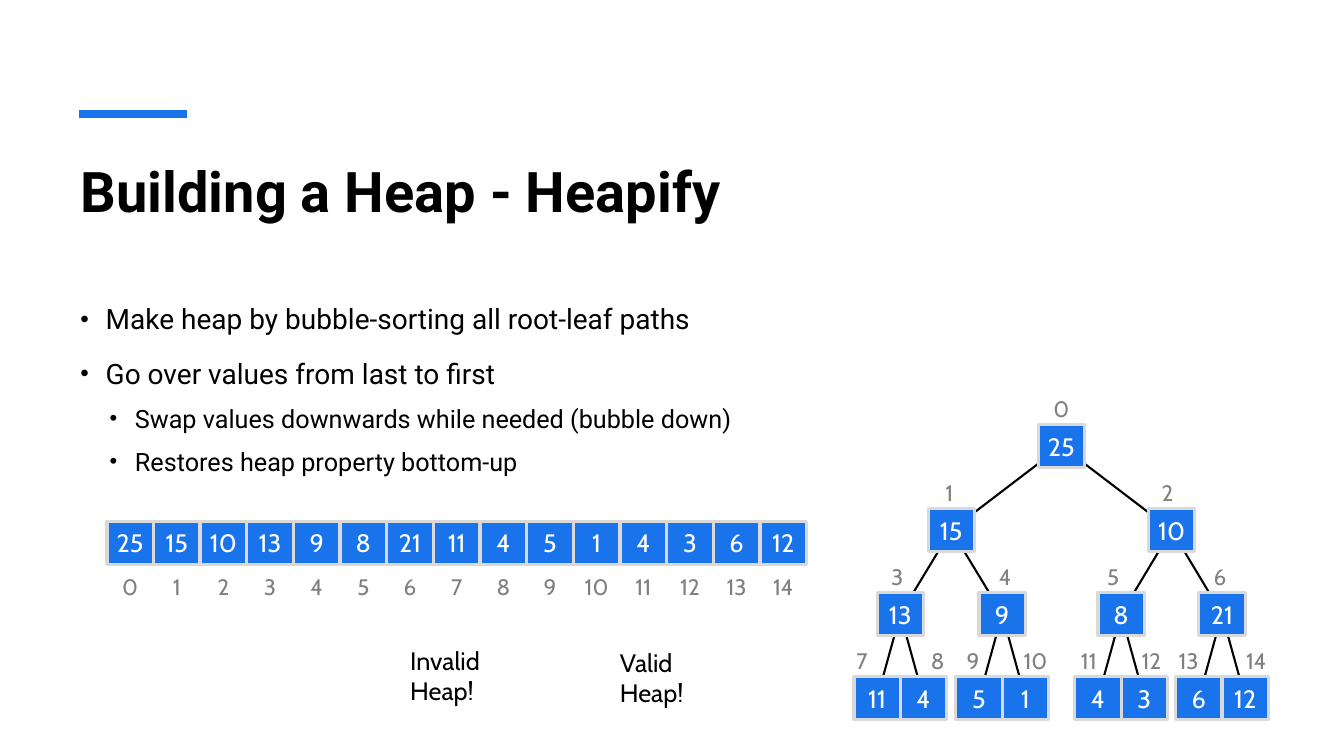
import pptx
import pptx.dml.color
import pptx.enum.shapes
import pptx.enum.text
import pptx.oxml
import pptx.oxml.ns
import pptx.util
from pptx.util import Inches

# Content
TITLE = "Building a Heap - Heapify"
BULLETS = [
    (0, "Make heap by bubble-sorting all root-leaf paths"),
    (0, "Go over values from last to first"),
    (1, "Swap values downwards while needed (bubble down)"),
    (1, "Restores heap property bottom-up"),
]
HEAP = [25, 15, 10, 13, 9, 8, 21, 11, 4, 5, 1, 4, 3, 6, 12]
CAPTIONS = [("Invalid\nHeap!", 3.97, 6.35, 0.92), ("Valid\nHeap!", 6.05, 6.37, 0.86)]


class Theme:
    blue, border, gray = "1973EB", "D9D9D9", "808080"
    black, white = "000000", "FFFFFF"
    text_font, heap_font = "Roboto", "Cabin"
    title_size, value_size, index_size = 40, 18, 16
    bullet_sizes, bullet_space, bullet_indents = (20, 18), (10, 5), (0.25, 0.54)


# Geometry in inches
CELL_WIDTH, CELL_HEIGHT = 0.46, 0.43
ARRAY_LEFT, ARRAY_TOP, ARRAY_WIDTH = 1.06, 5.17, 6.94
TREE_TOP, LEVEL_STEP, INDEX_RISE = 4.21, 5 / 6, 0.37
PARENT_CENTERS = [8.93, 9.94, 11.12, 12.12]
# Sideways shift of each tree index, which keeps it clear of the edges
INDEX_SHIFTS = [0, -0.02, -0.04, -0.03, 0.03, -0.08, -0.02,
                -0.15, 0.14, -0.06, 0.1, -0.09, 0.07, -0.1, 0.11]


def color(value):
    return pptx.dml.color.RGBColor.from_string(value)


def format_runs(paragraph, font, size, text_color, bold=False):
    for run in paragraph.runs:
        run.font.name = font
        run.font.size = pptx.util.Pt(size)
        run.font.color.rgb = color(text_color)
        run.font.bold = bold


def add_line(slide, start, end, line_color, width):
    connector = slide.shapes.add_connector(
        pptx.enum.shapes.MSO_CONNECTOR.STRAIGHT, *(Inches(value) for value in start + end))
    connector.line.color.rgb = color(line_color)
    connector.line.width = pptx.util.Pt(width)
    properties = connector._element.spPr
    properties.append(pptx.oxml.parse_xml(
        f"<a:effectLst {pptx.oxml.ns.nsdecls('a')}/>"))


def center_text(shape, text, size, text_color):
    frame = shape.text_frame
    frame.text = str(text)
    frame.word_wrap = True
    frame.margin_left = frame.margin_right = 0
    frame.vertical_anchor = pptx.enum.text.MSO_ANCHOR.MIDDLE
    frame.paragraphs[0].alignment = pptx.enum.text.PP_ALIGN.CENTER
    format_runs(frame.paragraphs[0], Theme.heap_font, size, text_color)


def cell_box(center, top):
    return (Inches(center - CELL_WIDTH / 2), Inches(top),
            Inches(CELL_WIDTH), Inches(CELL_HEIGHT))


def add_value(slide, value, center, top):
    shape = slide.shapes.add_shape(
        pptx.enum.shapes.MSO_SHAPE.RECTANGLE, *cell_box(center, top))
    shape.shadow.inherit = False
    shape.fill.solid()
    shape.fill.fore_color.rgb = color(Theme.blue)
    shape.line.color.rgb = color(Theme.border)
    shape.line.width = pptx.util.Pt(2.25)
    center_text(shape, value, Theme.value_size, Theme.white)


def add_index(slide, index, center, top):
    center_text(slide.shapes.add_textbox(*cell_box(center, top)),
                index, Theme.index_size, Theme.gray)


def add_title(slide):
    title = slide.shapes.title
    title.left, title.top = Inches(0.7), Inches(1.5)
    title.width, title.height = Inches(11.91), Inches(1.2)
    frame = title.text_frame
    frame.text = TITLE
    frame.auto_size = pptx.enum.text.MSO_AUTO_SIZE.NONE
    frame.vertical_anchor = pptx.enum.text.MSO_ANCHOR.TOP
    frame.paragraphs[0].alignment = pptx.enum.text.PP_ALIGN.LEFT
    format_runs(frame.paragraphs[0], Theme.text_font, Theme.title_size, Theme.black, True)


def add_bullets(slide):
    frame = slide.shapes.add_textbox(
        Inches(0.7), Inches(2.88), Inches(8.23), Inches(2.04)).text_frame
    frame.word_wrap = True
    frame.text = "\n".join(text for level, text in BULLETS)
    for paragraph, (level, text) in zip(frame.paragraphs, BULLETS):
        paragraph.level = level
        paragraph.line_spacing = 1.2
        paragraph.space_before = pptx.util.Pt(Theme.bullet_space[level])
        format_runs(paragraph, Theme.text_font, Theme.bullet_sizes[level], Theme.black)
        properties = paragraph._p.get_or_add_pPr()
        properties.set("marL", str(Inches(Theme.bullet_indents[level])))
        properties.set("indent", str(Inches(-0.25)))
        for tag in ('buSzPct val="87000"', 'buFont typeface="Arial"', 'buChar char="•"'):
            properties.append(pptx.oxml.parse_xml(
                f"<a:{tag} {pptx.oxml.ns.nsdecls('a')}/>"))


def tree_positions():
    """Center and top of each node, in heap order."""
    leaves = [center + side * CELL_WIDTH / 2
              for center in PARENT_CENTERS for side in (-1, 1)]
    levels = [leaves, PARENT_CENTERS]
    while len(levels[-1]) > 1:
        below = levels[-1]
        levels.append([(left + right) / 2 for left, right in zip(below[::2], below[1::2])])
    return [(center, TREE_TOP + depth * LEVEL_STEP)
            for depth, centers in enumerate(reversed(levels)) for center in centers]


def add_tree(slide):
    positions = tree_positions()
    middles = [(center, top + CELL_HEIGHT / 2) for center, top in positions]
    for child in range(1, len(HEAP)):
        add_line(slide, middles[(child - 1) // 2], middles[child], Theme.black, 1.5)
    for value, (center, top) in zip(HEAP, positions):
        add_value(slide, value, center, top)
    for index, (center, top) in enumerate(positions):
        add_index(slide, index, center + INDEX_SHIFTS[index], top - INDEX_RISE)


def add_array(slide):
    step = ARRAY_WIDTH / len(HEAP)
    for index, value in enumerate(HEAP):
        center = ARRAY_LEFT + (index + 0.5) * step
        add_value(slide, value, center, ARRAY_TOP)
        add_index(slide, index, center, ARRAY_TOP + CELL_HEIGHT)


def add_captions(slide):
    for text, left, top, width in CAPTIONS:
        frame = slide.shapes.add_textbox(
            Inches(left), Inches(top), Inches(width), Inches(0.71)).text_frame
        frame.word_wrap = False
        frame.text = text
        for paragraph in frame.paragraphs:
            format_runs(paragraph, Theme.heap_font, Theme.value_size, Theme.black)


def main():
    presentation = pptx.Presentation()
    presentation.slide_width, presentation.slide_height = Inches(13.33), Inches(7.5)
    slide = presentation.slides.add_slide(presentation.slide_layouts[5])
    # Heading and explanation
    add_line(slide, (0.78, 1.13), (1.85, 1.13), Theme.blue, 6)
    add_title(slide)
    add_bullets(slide)
    # Heap as tree and as array
    add_tree(slide)
    add_array(slide)
    add_captions(slide)
    presentation.save("out.pptx")


if __name__ == "__main__":
    main()
